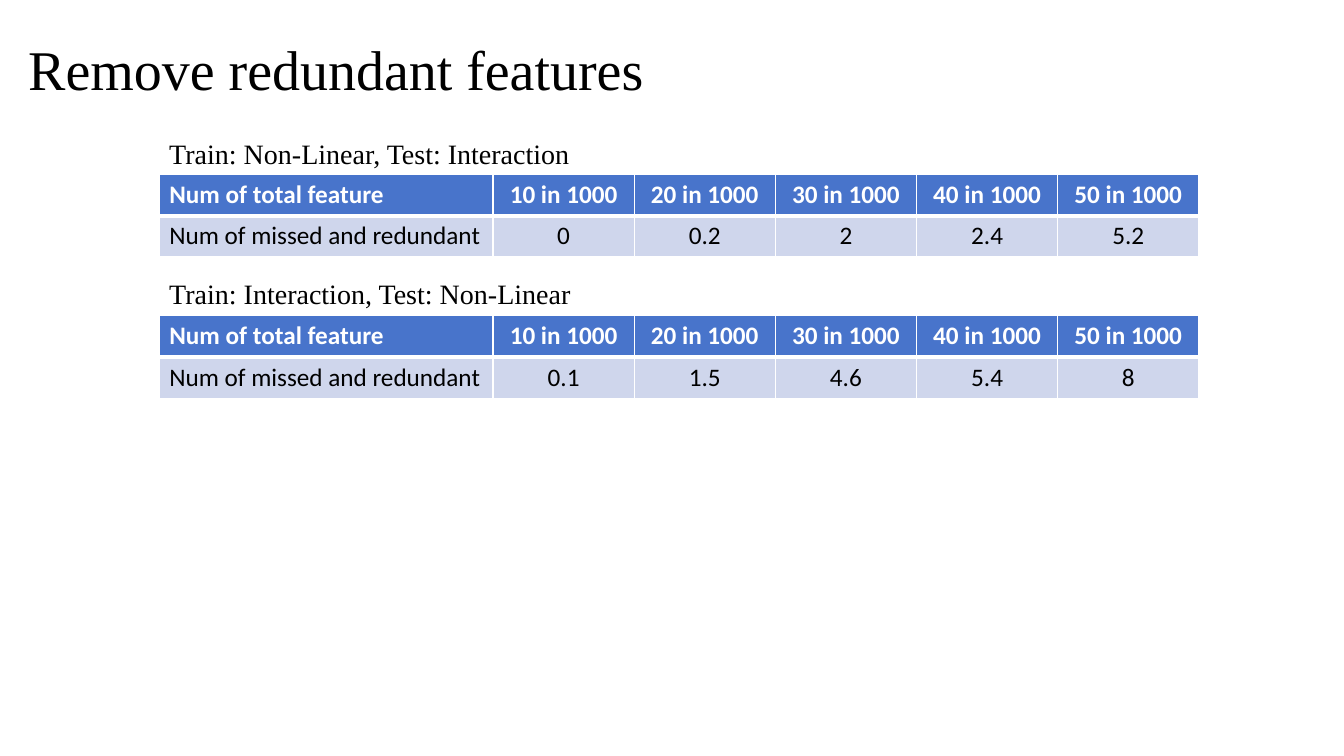
from dataclasses import dataclass

from lxml.etree import SubElement
from pptx import Presentation
from pptx.dml.color import RGBColor as RGB
from pptx.enum.text import MSO_ANCHOR as Anchor, MSO_AUTO_SIZE as AutoSize, PP_ALIGN as Align
from pptx.oxml.ns import qn
from pptx.slide import Slide
from pptx.table import _Cell as Cell
from pptx.text.text import TextFrame
from pptx.util import Emu, Pt

PX = 9144


@dataclass(frozen=True)
class Theme:
    heading_font: str = "Times New Roman"
    table_font: str = "Calibri"
    title_size: int = 40
    caption_size: int = 20
    cell_size: int = 18
    ink: str = "000000"
    paper: str = "FFFFFF"
    header_fill: str = "4874CB"
    body_fill: str = "CFD6EC"
    thin: int = 1
    thick: int = 3


@dataclass(frozen=True)
class Box:
    left: int
    top: int
    width: int
    height: int

    def emu(self) -> tuple[Emu, ...]:
        return tuple(px(n) for n in (self.left, self.top, self.width, self.height))


@dataclass(frozen=True)
class Experiment:
    caption: str
    caption_box: Box
    table_top: int
    missed: tuple[str, ...]


THEME = Theme()
TABLE_LEFT = 158
LABEL_WIDTH = 331
VALUE_WIDTH = 140
ROW_HEIGHT = 41
LABELS = ("Num of total feature", "Num of missed and redundant")
TOTALS = tuple(f"{n} in 1000" for n in range(10, 60, 10))
EXPERIMENTS = (
    Experiment("Train: Non-Linear, Test: Interaction", Box(TABLE_LEFT, 131, 427, 44),
               173, ("0", "0.2", "2", "2.4", "5.2")),
    Experiment("Train: Interaction, Test: Non-Linear", Box(TABLE_LEFT, 269, 421, 44),
               313, ("0.1", "1.5", "4.6", "5.4", "8")),
)


def px(n: int) -> Emu:
    return Emu(n * PX)


def write(tf: TextFrame, text: str, font: str, size: int, color: str,
          bold: bool = False, align: Align = Align.LEFT) -> None:
    tf.text = text
    p = tf.paragraphs[0]
    p.alignment = align
    r = p.runs[0]
    r.font.name = font
    r.font.size = Pt(size)
    r.font.bold = bold
    r.font.color.rgb = RGB.from_string(color)


def set_borders(cell: Cell, is_header: bool) -> None:
    top, bottom = (THEME.thin, THEME.thick) if is_header else (THEME.thick, THEME.thin)
    widths = {"lnL": THEME.thin, "lnR": THEME.thin, "lnT": top, "lnB": bottom}
    tc_pr = cell._tc.get_or_add_tcPr()
    for i, (side, width) in enumerate(widths.items()):
        ln = SubElement(tc_pr, qn(f"a:{side}"), w=str(Pt(width)))
        fill = SubElement(ln, qn("a:solidFill"))
        SubElement(fill, qn("a:srgbClr"), val=THEME.paper)
        tc_pr.insert(i, ln)


def add_grid(s: Slide, left: int, top: int, column_width: int,
             rows: tuple[tuple[str, ...], ...], align: Align) -> None:
    columns = len(rows[0])
    box = Box(left, top, column_width * columns, ROW_HEIGHT * len(rows))
    table = s.shapes.add_table(len(rows), columns, *box.emu()).table
    for i, row in enumerate(rows):
        is_header = i == 0
        for j, text in enumerate(row):
            cell = table.cell(i, j)
            cell.vertical_anchor = Anchor.MIDDLE
            cell.fill.solid()
            cell.fill.fore_color.rgb = RGB.from_string(
                THEME.header_fill if is_header else THEME.body_fill)
            write(cell.text_frame, text, THEME.table_font, THEME.cell_size,
                  THEME.paper if is_header else THEME.ink, is_header, align)
            set_borders(cell, is_header)


def add_title(s: Slide, text: str, box: Box) -> None:
    sp = s.shapes.title
    sp.left, sp.top, sp.width, sp.height = box.emu()
    tf = sp.text_frame
    tf.auto_size = AutoSize.SHAPE_TO_FIT_TEXT
    tf.vertical_anchor = Anchor.MIDDLE
    write(tf, text, THEME.heading_font, THEME.title_size, THEME.ink)


def add_experiment(s: Slide, experiment: Experiment) -> None:
    top = experiment.table_top
    add_grid(s, TABLE_LEFT + LABEL_WIDTH, top, VALUE_WIDTH,
             (TOTALS, experiment.missed), Align.CENTER)
    add_grid(s, TABLE_LEFT, top, LABEL_WIDTH,
             tuple((label,) for label in LABELS), Align.LEFT)
    tf = s.shapes.add_textbox(*experiment.caption_box.emu()).text_frame
    tf.word_wrap = False
    tf.auto_size = AutoSize.SHAPE_TO_FIT_TEXT
    write(tf, experiment.caption, THEME.heading_font, THEME.caption_size, THEME.ink)


def main() -> None:
    prs = Presentation()
    prs.slide_width, prs.slide_height = px(1333), px(750)
    s = prs.slides.add_slide(prs.slide_layouts.get_by_name("Title Only"))
    add_title(s, "Remove redundant features", Box(18, 29, 1298, 77))
    for experiment in reversed(EXPERIMENTS):
        add_experiment(s, experiment)
    prs.save("out.pptx")


if __name__ == "__main__":
    main()
